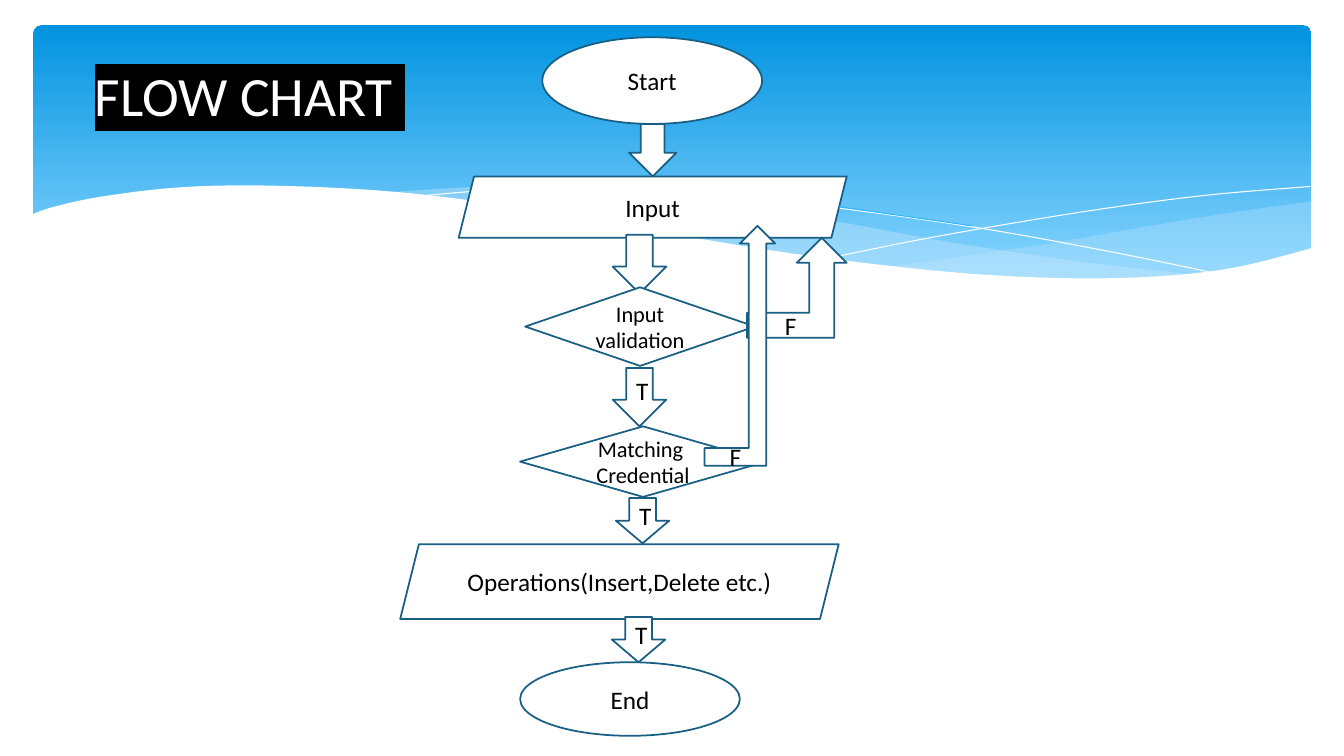
import pptx
import pptx.dml.color
import pptx.enum.dml
import pptx.enum.shapes
import pptx.enum.text
import pptx.oxml
import pptx.oxml.ns
import pptx.util

RGBColor = pptx.dml.color.RGBColor
WHITE = RGBColor(0xFF, 0xFF, 0xFF)
BLACK = RGBColor(0x00, 0x00, 0x00)
OUTLINE = RGBColor(0x19, 0x5F, 0x84)
SKY_TOP = RGBColor(0x02, 0x93, 0xE0)
SKY_BOTTOM = RGBColor(0x83, 0xD3, 0xFE)
PALE_WAVE = RGBColor(0xC6, 0xE7, 0xFC)
ACCENT = RGBColor(0x31, 0xB6, 0xFD)

SHAPE = pptx.enum.shapes.MSO_SHAPE
FONT = "Calibri"
COLUMNS, ROWS = 133.33, 75
CELL = pptx.util.Inches(0.1)  # one column wide, one row high

# Waves: (runs of curve points, fill, opacity in percent); a lone point is a corner
WAVES = [
    ([[(130, 20), (122.7, 21), (114.7, 22.3), (103.8, 24.2), (88.2, 26.5)],
      [(88.2, 26.5), (95.8, 27.1), (104.1, 27.7), (112.6, 27.7), (121.8, 26.7), (130.1, 24.7)],
      [(130.1, 20)]], PALE_WAVE, 29),
    ([[(119, 27.3), (107.6, 26), (94.1, 24), (79.8, 21.4), (66.9, 19.6),
       (56, 18.7), (48.2, 18.5), (38.2, 19.1)],
      [(38.2, 19.1), (48.3, 20.3), (59.9, 22.2), (75.5, 24.8), (86.7, 26.4),
       (98.1, 27.5), (109, 27.8), (119, 27.3)]], PALE_WAVE, 40),
    ([[(41.2, 19.5), (48.4, 18.9), (57.7, 18.7), (68, 19.2), (81.1, 20.4),
       (97, 22.6), (110.8, 25.1), (121, 27.2)]], None, 100),
    ([[(81.8, 25.7), (92.7, 23.5), (107.5, 21), (119.4, 19.4), (130, 18.5)]], None, 100),
    ([[(130.2, 24.6), (122.7, 26.5), (115.1, 27.4), (105.8, 27.6), (94.4, 27),
       (80.4, 25.4), (67.1, 23.3), (55.8, 21.3), (45.3, 19.7), (36.1, 18.8),
       (25.8, 18.4), (17.6, 18.6), (10.1, 19.5), (5.4, 20.5), (3.1, 21.3)],
      [(3.1, 32.9)], [(130.2, 32.9)]], WHITE, 100),
]

# Flow chart shapes: (preset, (left, top, width, height) in cells, text, text size)
FLOW_BACK = [
    (SHAPE.OVAL, (53.8, 3.7, 21.8, 8.6), "Start", 18),
    (SHAPE.PARALLELOGRAM, (45.5, 17.5, 38.5, 6.1), "Input", 18),
]
FLOW_FRONT = [
    (SHAPE.DOWN_ARROW, (62.4, 12.3, 4.7, 5.2), "", 18),
    (SHAPE.DOWN_ARROW, (60.8, 23.3, 5.3, 5.8), "", 18),
    (SHAPE.PARALLELOGRAM, (39.7, 54, 43.5, 7.4), "Operations(Insert,Delete etc.)", 18),
    (SHAPE.DIAMOND, (52.1, 28.5, 22.8, 7.8), "Input validation", 16),
    (SHAPE.DIAMOND, (51.6, 42.3, 24.4, 7), "Matching  Credential", 16),
    (SHAPE.DOWN_ARROW, (60.8, 36.5, 5.3, 5.8), "T", 18),
    (SHAPE.DOWN_ARROW, (61.1, 49.4, 5.3, 4.5), "T", 18),
    (SHAPE.OVAL, (51.6, 65.7, 21.8, 7.3), "End", 18),
    (SHAPE.DOWN_ARROW, (60.7, 61.2, 5.3, 4.5), "T", 18),
    (SHAPE.BENT_UP_ARROW, (74.1, 23.6, 9.9, 9.9), "F", 18),
    (SHAPE.BENT_UP_ARROW, (69.9, 22.4, 7, 23.8), "F", 18),
]


def cells(*lengths):
    return [round(length * CELL) for length in lengths]


def set_attributes(target, values):
    for name, value in values.items():
        setattr(target, name, value)


def curve(points, steps=6):
    """Return points on a smooth line that passes through the given points."""
    padded = [points[0], *points, points[-1]]
    smooth = [points[0]]
    for a, b, c, d in zip(padded, padded[1:], padded[2:], padded[3:]):
        for step in range(1, steps + 1):
            t = step / steps
            smooth.append(tuple(
                (2 * q + (r - p) * t + (2 * p - 5 * q + 4 * r - s) * t ** 2
                 + (3 * q - p - 3 * r + s) * t ** 3) / 2
                for p, q, r, s in zip(a, b, c, d)))
    return smooth


def write_text(shape, text, size, color):
    frame = shape.text_frame
    set_attributes(frame, {"word_wrap": True,
                           "vertical_anchor": pptx.enum.text.MSO_ANCHOR.MIDDLE})
    paragraph = frame.paragraphs[0]
    paragraph.alignment = pptx.enum.text.PP_ALIGN.CENTER
    run = paragraph.add_run()
    run.text = text
    set_attributes(run.font, {"size": pptx.util.Pt(size), "name": FONT})
    run.font.color.rgb = color
    return run


def add_sky(slide):
    sky = slide.shapes.add_shape(SHAPE.ROUNDED_RECTANGLE, *cells(3.3, 2.5, 126.8, 27))
    sky.adjustments[0] = 0.03
    sky.shadow.inherit = False
    sky.line.fill.background()
    sky.fill.gradient()
    sky.fill.gradient_angle = 270
    stops = zip(sky.fill.gradient_stops, (0, 0.9), (SKY_TOP, SKY_BOTTOM))
    for stop, position, color in stops:
        stop.position = position
        stop.color.rgb = color


def add_wave(slide, runs, color, opacity):
    points = [cells(*point) for run in runs for point in curve(run)]
    builder = slide.shapes.build_freeform(*points[0], scale=1.0)
    builder.add_line_segments(points[1:], close=color is not None)
    wave = builder.convert_to_shape()
    wave.shadow.inherit = False
    if color is None:
        wave.fill.background()
        wave.line.color.rgb = WHITE
        wave.line.width = 0
        return
    wave.line.fill.background()
    wave.fill.solid()
    wave.fill.fore_color.rgb = color
    if opacity < 100:
        value = wave.element.spPr.find(".//" + pptx.oxml.ns.qn("a:srgbClr"))
        alpha = value.makeelement(pptx.oxml.ns.qn("a:alpha"), {"val": str(opacity * 1000)})
        value.append(alpha)


def add_flow_shape(slide, preset, box, text, size):
    shape = slide.shapes.add_shape(preset, *cells(*box))
    shape.shadow.inherit = False
    shape.fill.solid()
    shape.fill.fore_color.rgb = WHITE
    shape.line.color.rgb = OUTLINE
    shape.line.width = pptx.util.Pt(1.25)
    if text:
        write_text(shape, text, size, BLACK)


def add_accent_line(slide):
    line = slide.shapes.add_connector(pptx.enum.shapes.MSO_CONNECTOR.STRAIGHT,
                                      *cells(83.2, 20.5, 96.4, 22.4))
    line.line.color.rgb = ACCENT
    line.line.width = pptx.util.Pt(0.75)
    properties = line.element.spPr
    properties.append(properties.makeelement(pptx.oxml.ns.qn("a:effectLst"), {}))


def place_title(slide):
    title = slide.shapes.title
    box = zip(("left", "top", "width", "height"), cells(6.7, 4.8, 36.2, 9.1))
    set_attributes(title, dict(box))
    run = write_text(title, "FLOW CHART ", 39.6, WHITE)
    namespace = pptx.oxml.ns.nsdecls("a")
    highlight = pptx.oxml.parse_xml(
        f'<a:highlight {namespace}><a:srgbClr val="{BLACK}"/></a:highlight>')
    run.font.fill  # the highlight follows the text fill
    run._r.rPr.find(pptx.oxml.ns.qn("a:solidFill")).addnext(highlight)
    title.element.getparent().append(title.element)  # bring to front


def main():
    presentation = pptx.Presentation()
    presentation.slide_width, presentation.slide_height = cells(COLUMNS, ROWS)
    slide = presentation.slides.add_slide(presentation.slide_layouts[5])
    add_sky(slide)
    for wave in WAVES:
        add_wave(slide, *wave)
    for flow_shape in FLOW_BACK:
        add_flow_shape(slide, *flow_shape)
    add_accent_line(slide)
    for flow_shape in FLOW_FRONT:
        add_flow_shape(slide, *flow_shape)
    place_title(slide)
    presentation.save("out.pptx")


if __name__ == "__main__":
    main()
